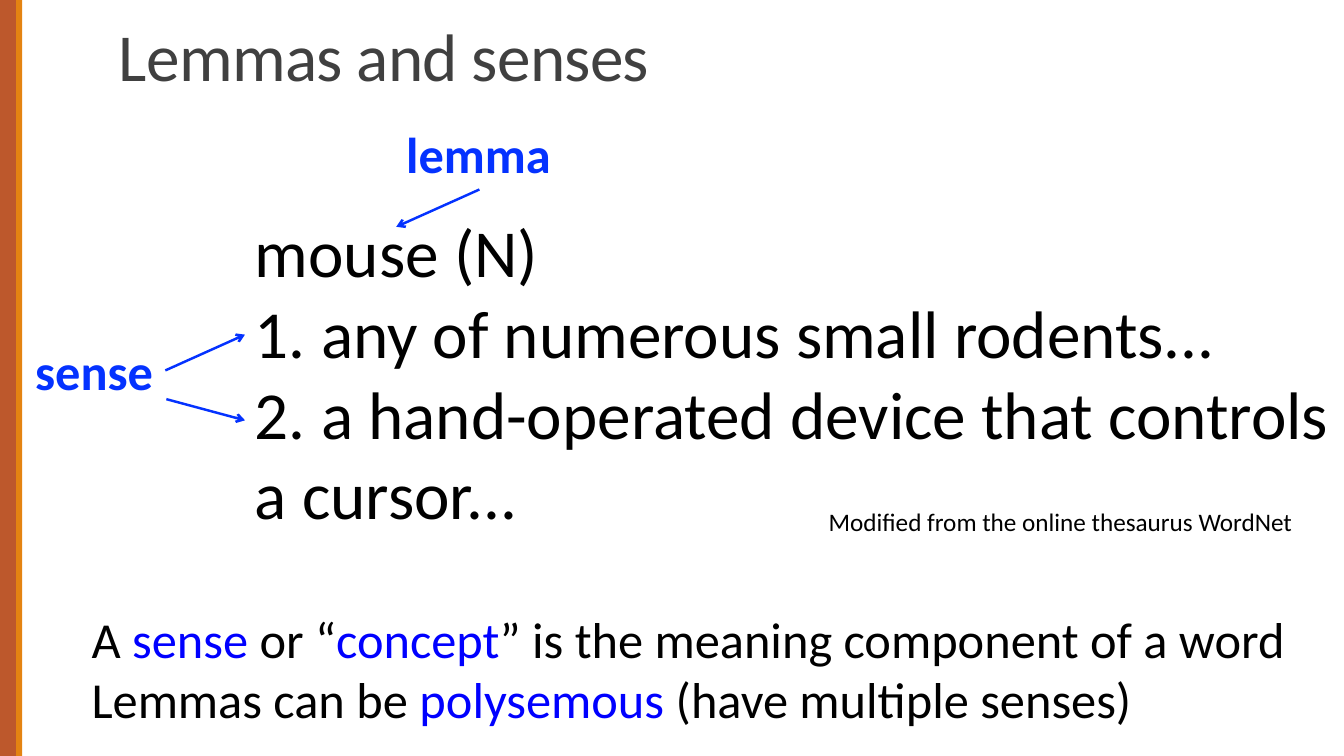
from lxml import etree
from pptx import Presentation
from pptx import util as u
from pptx.dml.color import RGBColor
from pptx.enum import shapes, text
from pptx.oxml.ns import qn

HUES = {"rust": "BD582C", "gold": "E48312", "gray": "404040",
        "black": "000000", "label": "0432FF", "term": "0000FF"}

deck = Presentation()
deck.slide_width, deck.slide_height = u.Inches(13.33), u.Inches(7.5)
slide = deck.slides.add_slide(deck.slide_layouts[5])


def style(run, size, hue, bold=False):
    font = run.font
    font.name, font.size, font.bold = "Calibri", u.Pt(size), bold
    font.color.rgb = RGBColor.from_string(HUES[hue])


def add_text(spot, lines, size, hue="black", bold=False, wrap=False):
    """Add a text box; each line is a list of (words, hue) pairs or one string."""
    box = slide.shapes.add_textbox(*map(u.Inches, spot))
    frame = box.text_frame
    frame.word_wrap = wrap
    for i, line in enumerate(lines):
        para = frame.add_paragraph() if i else frame.paragraphs[0]
        if isinstance(line, str):
            para.text = line
            for run in para.runs:
                style(run, size, hue, bold)
        else:
            for words, tint in line:
                run = para.add_run()
                run.text = words
                style(run, size, tint, bold)
    return box


# Side bars
for left, width, hue in [(0, 0.16, "rust"), (0.16, 0.06, "gold")]:
    bar = slide.shapes.add_shape(shapes.MSO_SHAPE.RECTANGLE, u.Inches(left), 0,
                                 u.Inches(width), deck.slide_height)
    bar.shadow.inherit = False
    bar.fill.solid()
    bar.fill.fore_color.rgb = RGBColor.from_string(HUES[hue])
    bar.line.fill.background()

# Title
title = slide.shapes.title
title.left, title.top = u.Inches(1.08), u.Inches(0.2)
title.width, title.height = u.Inches(10.08), u.Inches(0.79)
frame = title.text_frame
frame.text = "Lemmas and senses"
frame.auto_size = text.MSO_AUTO_SIZE.NONE
frame.vertical_anchor = text.MSO_ANCHOR.BOTTOM
head = frame.paragraphs[0]
head.alignment = text.PP_ALIGN.LEFT
head.line_spacing = 0.85
style(head.runs[0], 48, "gray")
head.runs[0].font._element.set("spc", "-50")

# Entry and its labels
add_text((2.43, 2.04, 11.04, 3.33),
         ["mouse (N)\v1. any of numerous small rodents...\v"
          "2. a hand-operated device that controls a cursor..."], 48, wrap=True)
sense = add_text((0.25, 3.32, 1.39, 0.71), ["sense"], 36, "label", True)
lemma = add_text((3.93, 1.17, 1.65, 0.71), ["lemma"], 36, "label", True)

# Arrows from the labels
for start, end, label, side in [((1.64, 3.68), (2.43, 3.32), sense, 3),
                                ((1.65, 3.96), (2.43, 4.17), None, None),
                                ((4.76, 1.87), (3.93, 2.25), lemma, 2)]:
    arrow = slide.shapes.add_connector(shapes.MSO_CONNECTOR.STRAIGHT,
                                       *map(u.Inches, start + end))
    if label is not None:
        arrow.begin_connect(label, side)
    arrow.line.color.rgb = RGBColor.from_string(HUES["label"])
    arrow.line.width = u.Pt(1.75)
    etree.SubElement(arrow.line._get_or_add_ln(), qn("a:tailEnd"), type="arrow")
    etree.SubElement(arrow._element.spPr, qn("a:effectLst"))

# Summary and source
add_text((0.81, 5.98, 12.14, 1.31),
         [[("A ", "black"), ("sense", "term"), (" or “", "black"),
           ("concept", "term"),
           ("” is the meaning component of a word", "black")],
          [("Lemmas can be ", "black"), ("polysemous", "term"),
           (" (have multiple senses)", "black")]], 36)
add_text((8.12, 4.97, 4.86, 0.4),
         ["Modified from the online thesaurus WordNet"], 18)

deck.save("out.pptx")
